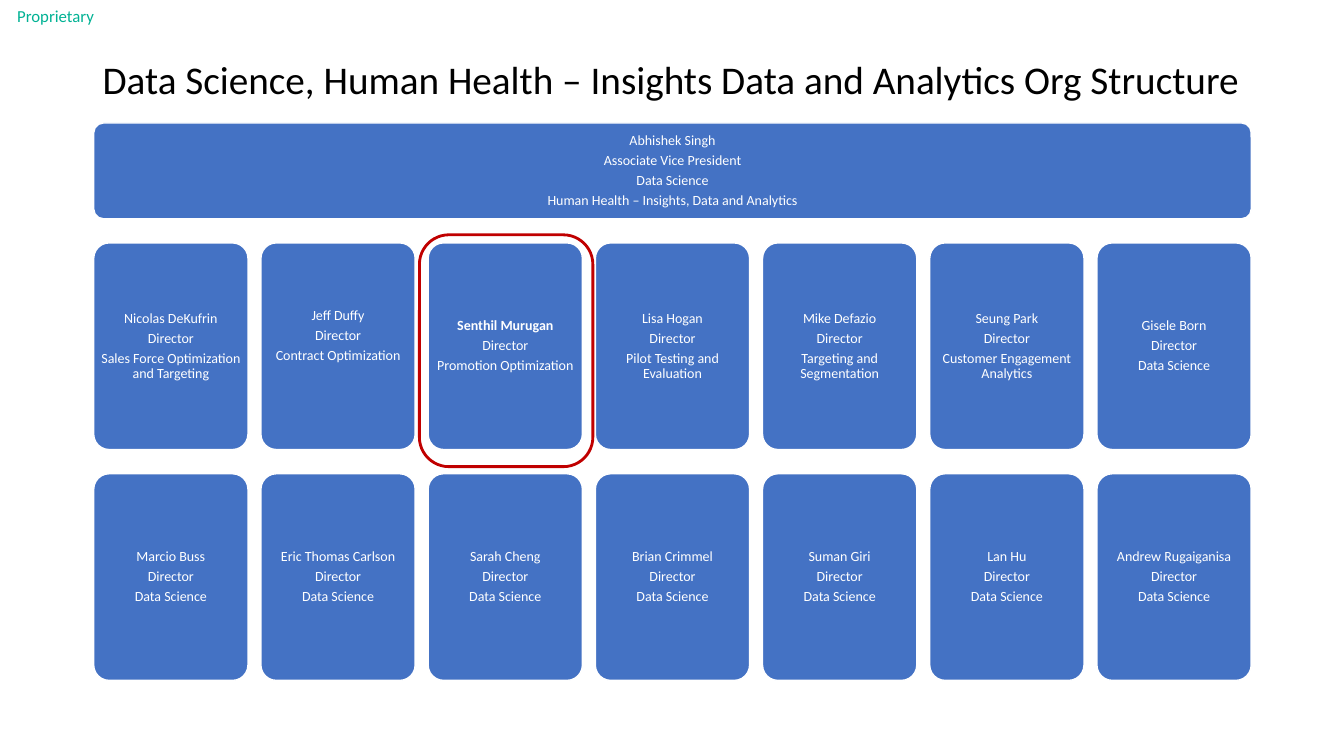
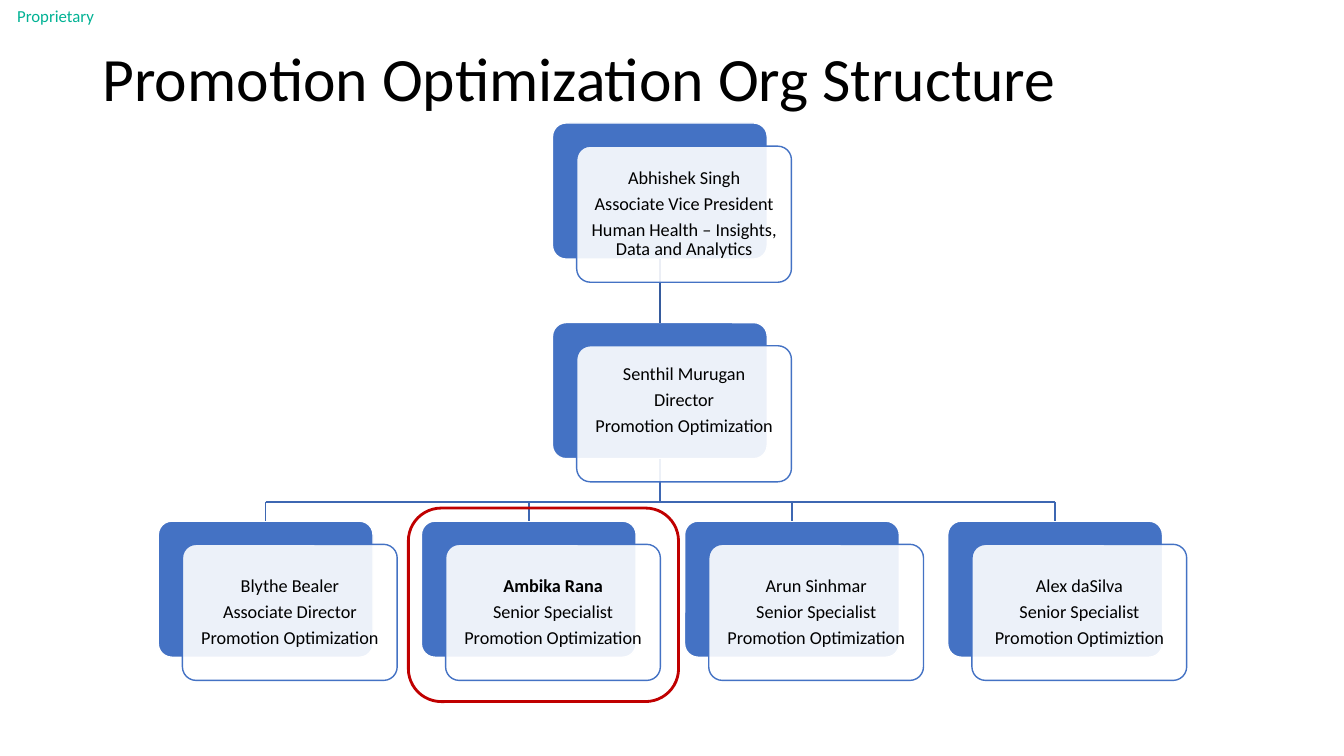
import pptx
import pptx.util
import pptx.dml.color
import pptx.enum.shapes
import pptx.enum.text
import pptx.oxml
import pptx.oxml.ns
import lxml.etree

Inches = pptx.util.Inches
Pt = pptx.util.Pt
RGBColor = pptx.dml.color.RGBColor
ALIGN = pptx.enum.text.PP_ALIGN
FONT = "Calibri"
COLORS = {
    "label": "00B294",
    "title": "000000",
    "card": "4472C4",
    "paper": "FFFFFF",
    "ink": "000000",
    "highlight": "C00000",
    "branch": "3E67B2",
    "trunk": "365B9D",
}


def write_text(box, lines, size, color, align=ALIGN.LEFT, inset=0.0, lift=0.0,
               bold_first=False):
    """Fill a shape with one paragraph per line; lift raises the centred text."""
    frame = box.text_frame
    frame.word_wrap = True
    frame.vertical_anchor = pptx.enum.text.MSO_ANCHOR.MIDDLE
    frame.margin_left = frame.margin_right = frame.margin_top = Inches(inset)
    frame.margin_bottom = Inches(inset + 2 * lift)
    for index, line in enumerate(lines):
        para = frame.paragraphs[0] if index == 0 else frame.add_paragraph()
        para.alignment = align
        para.line_spacing = 0.9
        para.space_after = Pt(round(0.34 * size, 1))
        span = para.add_run()
        span.text = line
        span.font.name = FONT
        span.font.size = Pt(size)
        span.font.bold = bold_first and index == 0
        span.font.color.rgb = RGBColor.from_string(COLORS[color])


def add_card(page, left, top, width, height, fill, line, line_width=1, corner=0.1, alpha=None):
    """Add a rounded rectangle; alpha is the opacity of its fill in percent."""
    card = page.shapes.add_shape(
        pptx.enum.shapes.MSO_SHAPE.ROUNDED_RECTANGLE,
        Inches(left), Inches(top), Inches(width), Inches(height))
    card.shadow.inherit = False
    card.adjustments[0] = corner
    card.line.color.rgb = RGBColor.from_string(COLORS[line])
    card.line.width = Pt(line_width)
    if fill is None:
        card.fill.background()
    else:
        card.fill.solid()
        card.fill.fore_color.rgb = RGBColor.from_string(COLORS[fill])
    if alpha is not None:
        color_node = card.fill._xPr.find(".//" + pptx.oxml.ns.qn("a:srgbClr"))
        lxml.etree.SubElement(color_node, pptx.oxml.ns.qn("a:alpha"), val=str(alpha * 1000))
    return card


deck = pptx.Presentation()
deck.slide_width = Inches(13.33)
deck.slide_height = Inches(7.5)

# Label and title on every page
pages = []
for title, title_size in [
    ("Data Science, Human Health – Insights Data and Analytics Org Structure", 28),
    ("Promotion Optimization Org Structure", 44),
]:
    page = deck.slides.add_slide(deck.slide_layouts[6])
    label_box = page.shapes.add_textbox(Inches(0.17), 0, Inches(0.94), Inches(0.34))
    write_text(label_box, ["Proprietary"], 12, "label")
    title_box = page.shapes.add_textbox(Inches(0.92), Inches(0.4), Inches(11.6), Inches(0.82))
    write_text(title_box, [title], title_size, "title", inset=0.1)
    pages.append(page)
department_page, team_page = pages

# Department: one leader above two rows of directors
GRID_LEFT, GRID_WIDTH = 0.93, 11.48
CARD_WIDTH, CARD_HEIGHT = 1.53, 2.05
leader_card = add_card(department_page, GRID_LEFT, 1.22, GRID_WIDTH, 0.95, "card", "paper")
leader_lines = ["Abhishek Singh", "Associate Vice President", "Data Science",
                "Human Health – Insights, Data and Analytics"]
write_text(leader_card, leader_lines, 10, "paper", align=ALIGN.CENTER, inset=0.03)

director_rows = [
    (2.41, [
        ("Nicolas DeKufrin", "Sales Force Optimization and Targeting"),
        ("Jeff Duffy", "Contract Optimization"),
        ("Senthil Murugan", "Promotion Optimization"),
        ("Lisa Hogan", "Pilot Testing and Evaluation"),
        ("Mike Defazio", "Targeting and Segmentation"),
        ("Seung Park", "Customer Engagement Analytics"),
        ("Gisele Born", "Data Science"),
    ]),
    (4.7, [(name, "Data Science") for name in (
        "Marcio Buss", "Eric Thomas Carlson", "Sarah Cheng", "Brian Crimmel",
        "Suman Giri", "Lan Hu", "Andrew Rugaiganisa")]),
]
for top, directors in director_rows:
    step = (GRID_WIDTH - CARD_WIDTH) / (len(directors) - 1)
    for column, (name, area) in enumerate(directors):
        card = add_card(department_page, GRID_LEFT + column * step, top,
                        CARD_WIDTH, CARD_HEIGHT, "card", "paper")
        write_text(card, [name, "Director", area], 10, "paper", align=ALIGN.CENTER,
                   inset=0.03, lift=0.1 if name == "Jeff Duffy" else 0,
                   bold_first=name == "Senthil Murugan")
add_card(department_page, 4.16, 2.33, 1.72, 2.3, None, "highlight", 2, corner=0.17)

# Team: a tree of layered cards
NODE_WIDTH, NODE_HEIGHT = 2.13, 1.35
OFFSET_X, OFFSET_Y = 0.24, 0.23
TEAM_LEFT, TEAM_STEP, TEAM_TOP = 1.57, 2.61, 5.17
CENTER_LEFT = 5.48
BUS_Y = 4.98
people = [
    (CENTER_LEFT, 1.22, ["Abhishek Singh", "Associate Vice President",
                         "Human Health – Insights, Data and Analytics"]),
    (CENTER_LEFT, 3.2, ["Senthil Murugan", "Director", "Promotion Optimization"]),
]
members = [
    ["Blythe Bealer", "Associate Director", "Promotion Optimization"],
    ["Ambika Rana", "Senior Specialist", "Promotion Optimization"],
    ["Arun Sinhmar", "Senior Specialist", "Promotion Optimization"],
    ["Alex daSilva", "Senior Specialist", "Promotion Optimiztion"],
]
for column, lines in enumerate(members):
    people.append((TEAM_LEFT + column * TEAM_STEP, TEAM_TOP, lines))

back_cards = [add_card(team_page, left, top, NODE_WIDTH, NODE_HEIGHT, "card", "paper")
              for left, top, lines in people]
leader, director, *team = back_cards

# Each link: start card, end card, start x, start y, end x, end y, colour
bus_y = Inches(BUS_Y)
middles = [card.left + card.width // 2 for card in back_cards]
links = [
    (leader, director, middles[0], leader.top + leader.height, middles[1], director.top, "trunk"),
    (director, None, middles[1], director.top + director.height, middles[1], bus_y, "branch"),
    (None, None, middles[2], bus_y, middles[-1], bus_y, "branch"),
]
for card, middle in zip(team, middles[2:]):
    links.append((None, card, middle, bus_y, middle, card.top, "branch"))
for start, end, start_x, start_y, end_x, end_y, color in links:
    link = team_page.shapes.add_connector(
        pptx.enum.shapes.MSO_CONNECTOR.STRAIGHT, start_x, start_y, end_x, end_y)
    if start is not None:
        link.begin_connect(start, 2)
    if end is not None:
        link.end_connect(end, 0)
    link.line.color.rgb = RGBColor.from_string(COLORS[color])
    link.line.width = Pt(1)
    lxml.etree.SubElement(link._element.spPr, pptx.oxml.ns.qn("a:effectLst"))

for left, top, lines in people:
    front_card = add_card(team_page, left + OFFSET_X, top + OFFSET_Y,
                          NODE_WIDTH, NODE_HEIGHT, "paper", "card", alpha=90)
    write_text(front_card, lines, 13, "ink", align=ALIGN.CENTER, inset=0.05,
               lift=0.13 if lines[0] == "Senthil Murugan" else 0,
               bold_first=lines[0] == "Ambika Rana")
add_card(team_page, 4.05, 5.04, 2.68, 1.92, None, "highlight", 2, corner=0.17)

deck.save("out.pptx")
